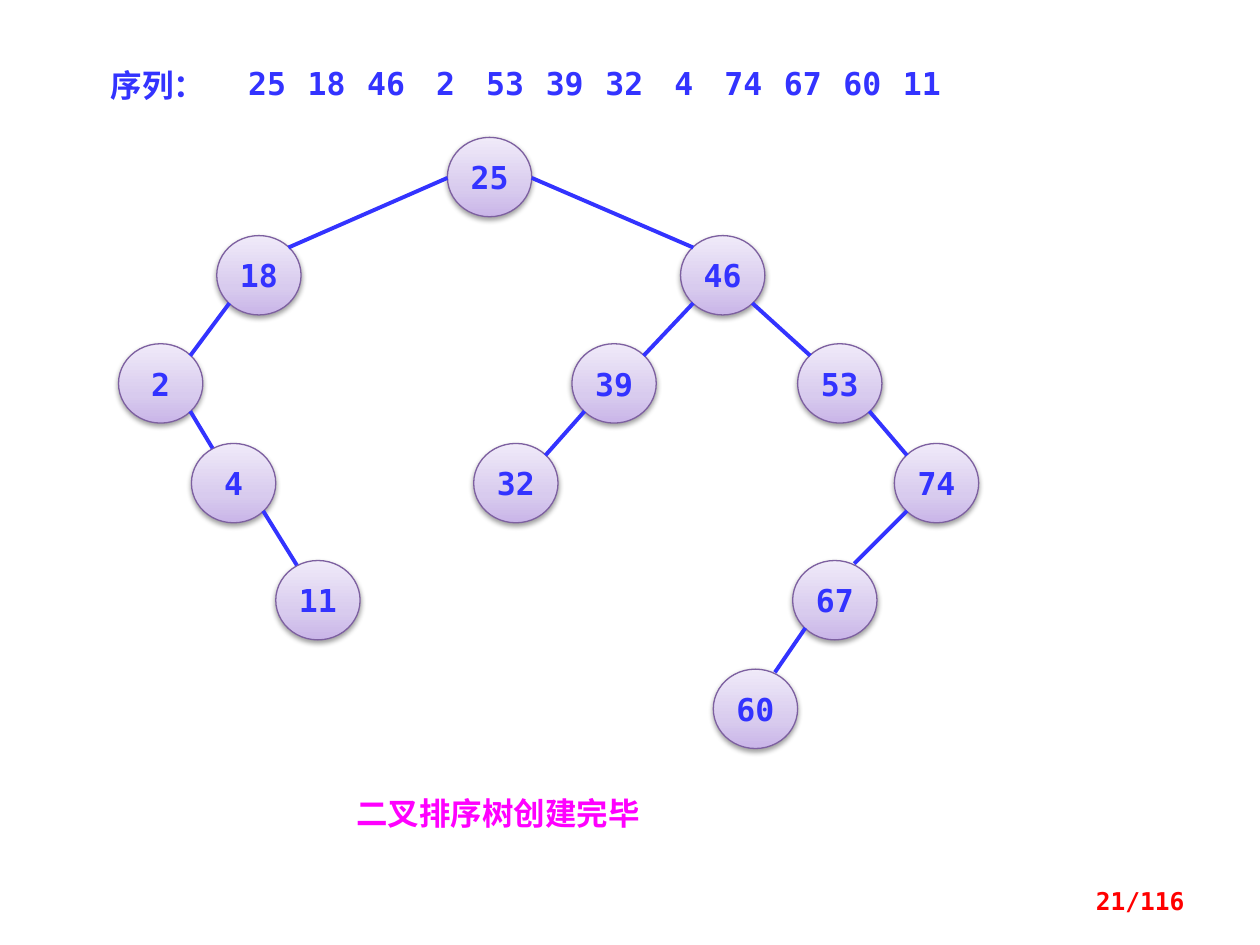
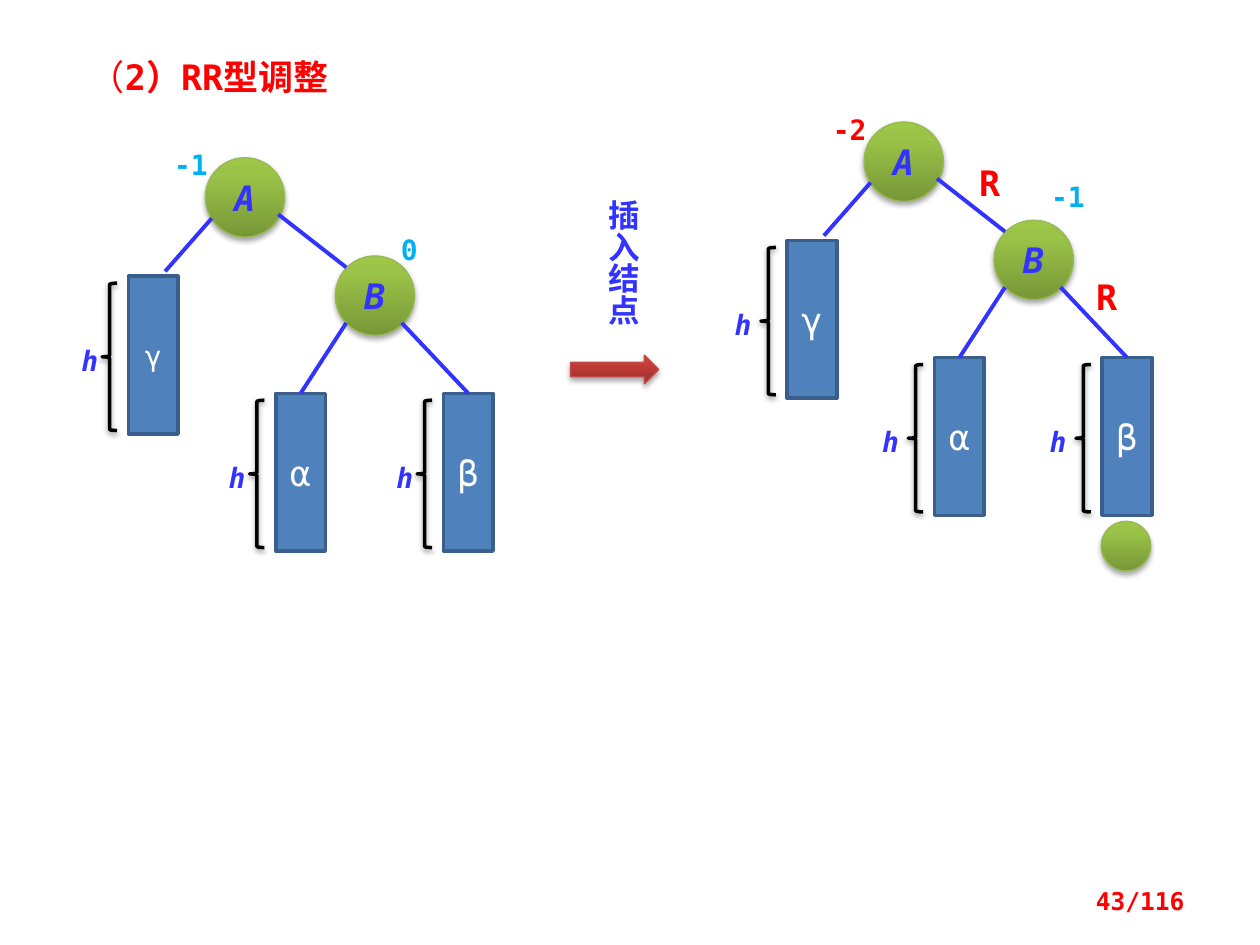
from copy import deepcopy

from lxml import etree
from pptx import Presentation
from pptx.dml.color import RGBColor
from pptx.enum.shapes import MSO_CONNECTOR, MSO_SHAPE
from pptx.enum.text import MSO_ANCHOR, PP_ALIGN
from pptx.oxml.ns import qn
from pptx.util import Cm, Pt

STRAIGHT = MSO_CONNECTOR.STRAIGHT
ELLIPSE, RECTANGLE = MSO_SHAPE.OVAL, MSO_SHAPE.RECTANGLE
BRACE, ARROW = MSO_SHAPE.LEFT_BRACE, MSO_SHAPE.RIGHT_ARROW
LEFT, CENTER, RIGHT = PP_ALIGN.LEFT, PP_ALIGN.CENTER, PP_ALIGN.RIGHT
TOP, MIDDLE = MSO_ANCHOR.TOP, MSO_ANCHOR.MIDDLE

MONO, CJK = "DejaVu Sans Mono", "Noto Sans CJK SC"
BLUE = RGBColor(0x33, 0x33, 0xFF)
RED = RGBColor(0xFF, 0x00, 0x00)
SKY = RGBColor(0x00, 0xB0, 0xF0)
MAGENTA = RGBColor(0xFF, 0x00, 0xFF)
WHITE = RGBColor(0xFF, 0xFF, 0xFF)
BLACK = RGBColor(0x00, 0x00, 0x00)
BLOCK_FILL = RGBColor(0x4F, 0x81, 0xBD)
BLOCK_EDGE = RGBColor(0x3A, 0x5F, 0x8C)
PURPLE_EDGE = RGBColor(0x7D, 0x60, 0xA0)
GREEN_EDGE = RGBColor(0x98, 0xB9, 0x55)
RUST_EDGE = RGBColor(0xBF, 0x4C, 0x48)
PURPLE = ((0, RGBColor(0xC9, 0xB5, 0xE8)), (0.35, RGBColor(0xD8, 0xCB, 0xEE)),
          (1, RGBColor(0xF0, 0xEA, 0xF9)))
GREEN = ((0, RGBColor(0x77, 0x97, 0x37)), (0.8, RGBColor(0x9B, 0xC3, 0x48)),
         (1, RGBColor(0x9D, 0xC7, 0x46)))
RUST = ((0, RGBColor(0x9C, 0x2F, 0x2D)), (0.8, RGBColor(0xCB, 0x3E, 0x3A)),
        (1, RGBColor(0xCE, 0x3B, 0x37)))
SOFT_SHADOW, DEEP_SHADOW = (20000, 38000), (23000, 35000)


def style_para(para, size, color, bold=True, italic=False, align=CENTER, name=MONO):
    para.alignment = align
    font = para.font
    font.name, font.size, font.bold, font.italic = name, Pt(size), bold, italic
    font.color.rgb = color
    defaults = para._p.find(".//" + qn("a:defRPr"))
    etree.SubElement(defaults, qn("a:ea")).set("typeface", CJK)


def set_insets(frame, across, down):
    frame.margin_left = frame.margin_right = Cm(across)
    frame.margin_top = frame.margin_bottom = Cm(down)


def add_text(page, text, left, top, width, height, size, color,
             padded=False, **style):
    box = page.shapes.add_textbox(Cm(left), Cm(top), Cm(width), Cm(height))
    frame = box.text_frame
    frame.word_wrap = True
    if not padded:
        set_insets(frame, 0, 0)
    frame.text = text
    style_para(frame.paragraphs[0], size, color, **style)
    return box


def add_line(page, start, end):
    line = page.shapes.add_connector(STRAIGHT, *(Cm(value) for value in (*start, *end)))
    line.line.color.rgb = BLUE
    line.line.width = Pt(2.25)
    etree.SubElement(line._element.spPr, qn("a:effectLst"))


def add_shadow(shape, distance, opacity):
    effects = shape._element.spPr.find(qn("a:effectLst"))
    shadow = etree.SubElement(effects, qn("a:outerShdw"), blurRad="40000",
                              dist=str(distance), dir="5400000", rotWithShape="0")
    color = etree.SubElement(shadow, qn("a:srgbClr"), val="000000")
    etree.SubElement(color, qn("a:alpha"), val=str(opacity))


def add_outlined(page, kind, left, top, width, height, edge, weight, shadow=None):
    shape = page.shapes.add_shape(kind, Cm(left), Cm(top), Cm(width), Cm(height))
    shape.line.color.rgb = edge
    shape.line.width = Pt(weight)
    shape.shadow.inherit = False
    if shadow:
        add_shadow(shape, *shadow)
    return shape


def fill_gradient(shape, colors):
    shape.fill.gradient()
    shape.fill.gradient_angle = 90
    stops = shape._element.spPr.find(".//" + qn("a:gsLst"))
    stops.append(deepcopy(stops[-1]))
    for stop, (position, color) in zip(shape.fill.gradient_stops, colors):
        stop.position = position
        stop.color.rgb = color


def label_shape(shape, text, size, color, **style):
    frame = shape.text_frame
    frame.vertical_anchor = MIDDLE
    frame.text = text
    style_para(frame.paragraphs[0], size, color, **style)


def add_green_node(page, left, top, size, text=None):
    node = add_outlined(page, ELLIPSE, left, top, size, size, GREEN_EDGE, 0.75, DEEP_SHADOW)
    fill_gradient(node, GREEN)
    if text:
        label_shape(node, text, 20, BLUE, italic=True)


def add_page_number(page, number):
    box = add_text(page, f"{number}/116", 18.21, 17.65, 5.92, 1.02, 14, RED,
                   padded=True, align=RIGHT)
    box.text_frame.vertical_anchor = MIDDLE


def add_sequence(page, left, top, values):
    add_text(page, "序列：", left, top, 2.39, 1.02, 18, BLUE, padded=True, align=LEFT)
    for index, value in enumerate(values):
        add_text(page, str(value), left + 3 + 1.2 * index, top + 0.1, 0.81, 0.76, 18, BLUE)


NODE_WIDTH, NODE_HEIGHT = 1.7, 1.6
LEVELS = (0, 1.98, 4.16, 6.17, 8.53, 10.72)
WEST, EAST = (0, 0.51), (1, 0.51)
UPPER_LEFT, UPPER_RIGHT = (0.15, 0.15), (0.85, 0.15)
LOWER_LEFT, LOWER_RIGHT = (0.15, 0.85), (0.85, 0.85)
CROWN_LEFT, CROWN_RIGHT = (0.25, 0.06), (0.73, 0.04)
SEARCH_TREE = (
    (25, 6.63, 0, None, None, None),
    (18, 1.98, 1, 25, WEST, UPPER_RIGHT),
    (2, 0, 2, 18, LOWER_LEFT, UPPER_RIGHT),
    (4, 1.47, 3, 2, LOWER_RIGHT, CROWN_LEFT),
    (11, 3.17, 4, 4, LOWER_RIGHT, CROWN_LEFT),
    (46, 11.33, 1, 25, EAST, UPPER_LEFT),
    (39, 9.14, 2, 46, LOWER_LEFT, UPPER_RIGHT),
    (32, 7.16, 3, 39, LOWER_LEFT, UPPER_RIGHT),
    (53, 13.69, 2, 46, LOWER_RIGHT, UPPER_LEFT),
    (74, 15.64, 3, 53, LOWER_RIGHT, UPPER_LEFT),
    (67, 13.59, 4, 74, LOWER_LEFT, CROWN_RIGHT),
    (60, 11.99, 5, 67, LOWER_LEFT, CROWN_RIGHT),
)


def add_search_tree(page, left, top):
    corners = {}

    def point_on(value, fraction):
        x, y = corners[value]
        return x + NODE_WIDTH * fraction[0], y + NODE_HEIGHT * fraction[1]

    for value, offset, level, parent, leave, reach in SEARCH_TREE:
        corners[value] = left + offset, top + LEVELS[level]
        node = add_outlined(page, ELLIPSE, *corners[value], NODE_WIDTH, NODE_HEIGHT,
                            PURPLE_EDGE, 0.75, SOFT_SHADOW)
        fill_gradient(node, PURPLE)
        set_insets(node.text_frame, 0, 0.13)
        label_shape(node, str(value), 18, BLUE)
        if parent is not None:
            add_line(page, point_on(parent, leave), point_on(value, reach))


def add_subtree(page, left, top, text, size, height_gap):
    block = add_outlined(page, RECTANGLE, left, top, 1, 3.18, BLOCK_EDGE, 2)
    block.fill.solid()
    block.fill.fore_color.rgb = BLOCK_FILL
    label_shape(block, text, size, WHITE, bold=False)
    brace = add_outlined(page, BRACE, left - 0.53, top + 0.14, 0.3, 2.97, BLACK, 2, SOFT_SHADOW)
    brace.fill.background()
    add_text(page, "h", left - height_gap, top + 1.35, 1, 0.69, 16, BLUE, italic=True)


def add_balance_tree(page, left, top, gamma_size, height_gap, factors):
    for text, x, y, size in (("α", 1.42, 4.75, 20), ("β", 4.8, 4.75, 20),
                             ("γ", -1.55, 2.39, gamma_size)):
        add_subtree(page, left + x, top + y, text, size, height_gap)
    for text, x, y in (("B", 2.62, 1.98), ("A", 0, 0)):
        add_green_node(page, left + x, top + y, 1.6, text)
    for x1, y1, x2, y2 in ((2.84, 3.33, 1.92, 4.75), (3.96, 3.33, 5.3, 4.75),
                           (1.47, 1.14, 2.84, 2.21), (0.13, 1.22, -0.81, 2.29)):
        add_line(page, (left + x1, top + y1), (left + x2, top + y2))
    for text, x, y, color in factors:
        add_text(page, text, left + x, top + y, 1, 0.69, 16, color)


def add_insertion(page, left, top):
    note = add_text(page, "插入结点", left + 0.3, top, 1.27, 3.18, 18, BLUE,
                    padded=True, name=CJK)
    note.text_frame._txBody.bodyPr.set("vert", "eaVert")
    arrow = add_outlined(page, ARROW, left, top + 3.38, 1.78, 0.58, RUST_EDGE, 0.75, DEEP_SHADOW)
    fill_gradient(arrow, RUST)


def set_title(page, left, top, width, height, plain, strong):
    title = page.shapes.title
    title.left, title.top, title.width, title.height = map(Cm, (left, top, width, height))
    frame = title.text_frame
    frame.vertical_anchor = TOP
    para = frame.paragraphs[0]
    style_para(para, 20, RED, bold=False, align=LEFT)
    para.add_run().text = plain
    span = para.add_run()
    span.text = strong
    span.font.bold = True


def build_search_tree_page(deck):
    page = deck.slides.add_slide(deck.slide_layouts[6])
    add_sequence(page, 1.98, 1.2, (25, 18, 46, 2, 53, 39, 32, 4, 74, 67, 60, 11))
    add_search_tree(page, 2.39, 2.77)
    add_text(page, "二叉排序树创建完毕", 6.93, 15.88, 8.74, 1.02, 18, MAGENTA,
             padded=True, align=LEFT, name=CJK)
    add_page_number(page, 21)


def build_rotation_page(deck):
    page = deck.slides.add_slide(deck.slide_layouts[5])
    set_title(page, 1.4, 1, 7.54, 1.12, " （", "2）RR型调整")
    add_balance_tree(page, 4.14, 3.18, 16, 1.28,
                     (("-1", -0.79, -0.2, SKY), ("0", 3.61, 1.5, SKY)))
    add_insertion(page, 11.5, 3.78)
    left, top = 17.42, 2.46
    add_balance_tree(page, left, top, 20, 1.39,
                     (("-2", -0.79, -0.2, RED), ("-1", 3.61, 1.17, SKY)))
    add_green_node(page, left + 4.78, top + 8.05, 1)
    for x, y in ((2.03, 0.79), (4.39, 3.1)):
        add_text(page, "R", left + x, top + y, 1, 0.86, 20, RED)
    add_page_number(page, 43)


deck = Presentation()
deck.slide_width, deck.slide_height = Cm(25.4), Cm(19.05)
build_search_tree_page(deck)
build_rotation_page(deck)
deck.save("out.pptx")
